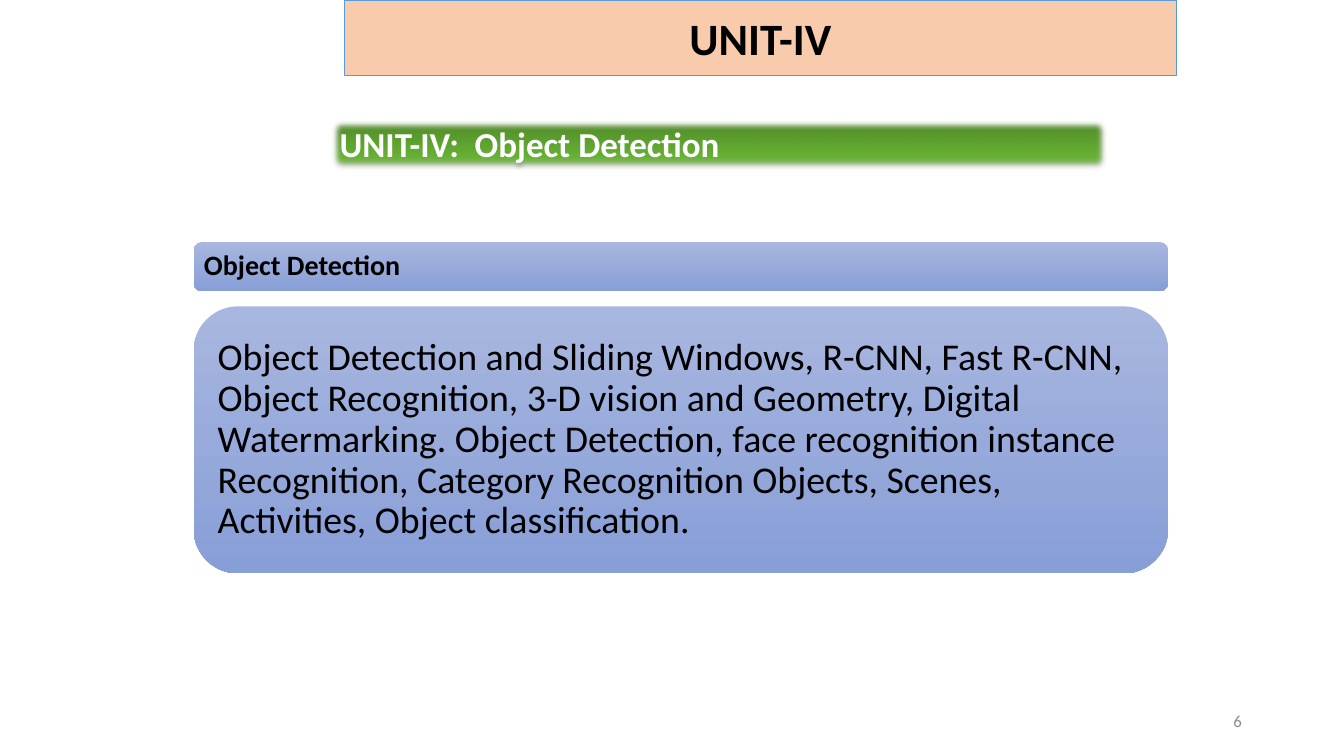
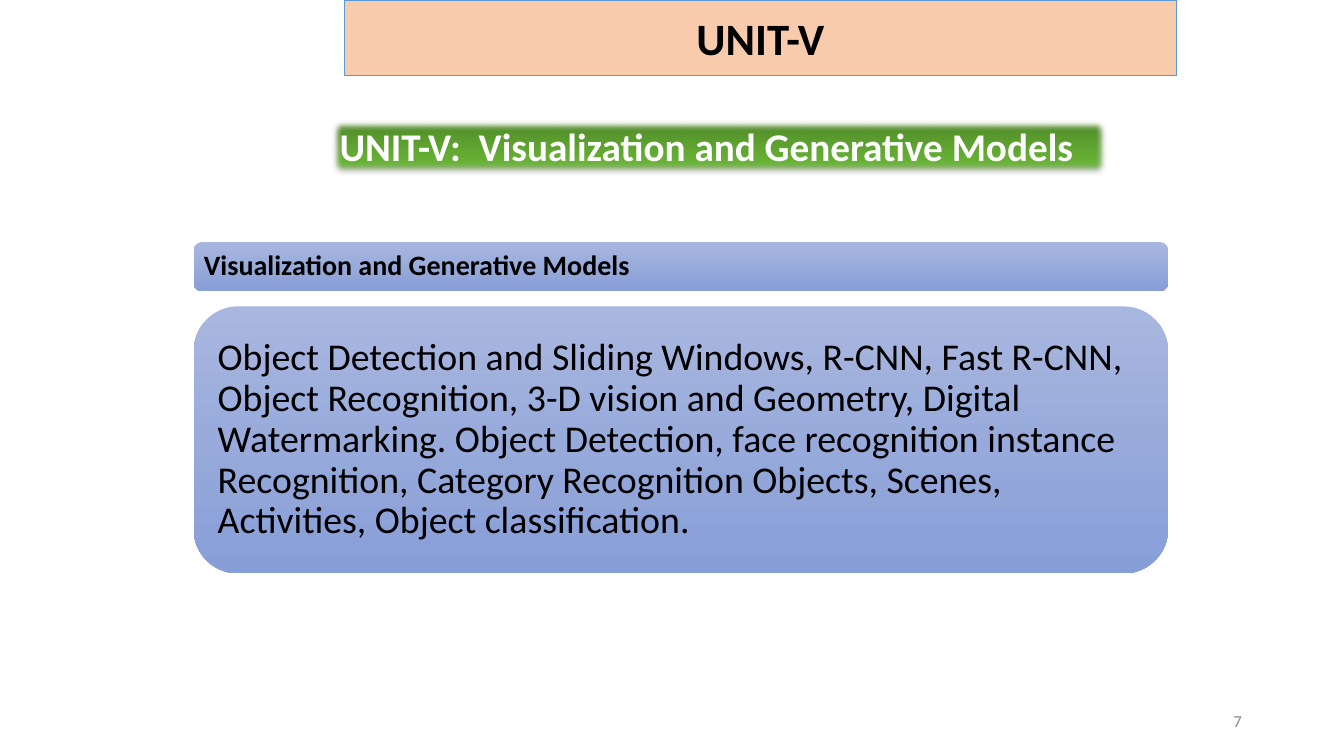
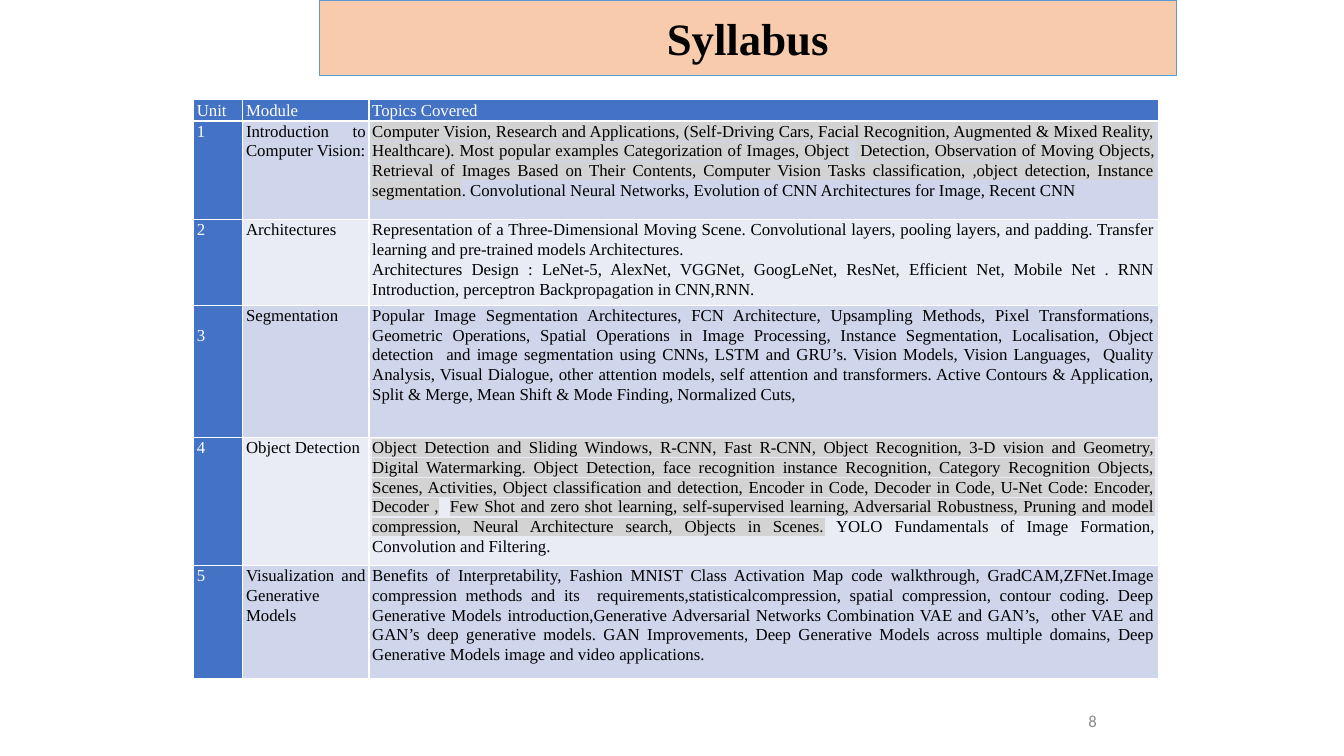
from lxml.etree import SubElement
from pptx import Presentation
from pptx.dml.color import RGBColor
from pptx.enum.shapes import MSO_SHAPE
from pptx.enum.text import MSO_ANCHOR, MSO_AUTO_SIZE, PP_ALIGN
from pptx.oxml import parse_xml
from pptx.oxml.ns import nsdecls, qn
from pptx.util import Cm, Pt

COLORS = {
    "title_fill": "F8CBAD", "title_line": "5B9BD5",
    "green_dark": "4D8527", "green": "6AB636",
    "panel_top": "A8B7DF", "panel_bottom": "889ED7",
    "header": "4472C4", "odd_row": "CFD5EA", "even_row": "E9EBF5",
    "highlight": "D3D3D3", "number": "8C8C8C",
    "black": "000000", "white": "FFFFFF",
}
SANS, SERIF = "Calibri", "Times New Roman"
CONTENT_LEFT = 4.88
TITLE_RIGHT = 29.64

UNIT_TOPICS = (
    "Object Detection and Sliding Windows, R-CNN, Fast R-CNN, Object Recognition, "
    "3-D vision and Geometry, Digital Watermarking. Object Detection, face recognition "
    "instance Recognition, Category Recognition Objects, Scenes, Activities, "
    "Object classification."
)
# (number, heading, subject, banner size, banner height)
UNITS = [
    (6, "UNIT-IV", "Object Detection", 25, 1.32),
    (7, "UNIT-V", "Visualization and Generative Models", 28, 1.45),
]

# In a topic, every second part between bars is highlighted.
SYLLABUS = [
    ("Unit", "Module", ["Topics Covered"]),
    ("1", "Introduction to Computer Vision:", [
        "|Computer Vision, Research and Applications, (Self-Driving Cars, Facial "
        "Recognition, Augmented & Mixed Reality, Healthcare). Most popular examples "
        "Categorization of Images, Object| | Detection, Observation of Moving Objects, "
        "Retrieval of Images Based on Their Contents, Computer Vision Tasks "
        "classification, ,object detection, Instance segmentation|. Convolutional Neural "
        "Networks, Evolution of CNN Architectures for Image, Recent CNN"]),
    ("2", "Architectures", [
        "Representation of a Three-Dimensional Moving Scene. Convolutional layers, "
        "pooling layers, and padding. Transfer learning and pre-trained models "
        "Architectures.",
        "Architectures Design : LeNet-5, AlexNet, VGGNet, GoogLeNet, ResNet, Efficient "
        "Net, Mobile Net . RNN Introduction, perceptron Backpropagation in CNN,RNN."]),
    ("3", "Segmentation", [
        "Popular Image Segmentation Architectures, FCN Architecture, Upsampling Methods, "
        "Pixel Transformations, Geometric Operations, Spatial Operations in Image "
        "Processing, Instance Segmentation, Localisation, Object detection  and image "
        "segmentation using CNNs, LSTM and GRU’s. Vision Models, Vision Languages,  "
        "Quality Analysis, Visual Dialogue, other attention models, self attention and "
        "transformers. Active Contours & Application, Split & Merge, Mean Shift & Mode "
        "Finding, Normalized Cuts,"]),
    ("4", "Object Detection", [
        "|Object Detection and Sliding Windows, R-CNN, Fast R-CNN, Object Recognition, "
        "3-D vision and Geometry, Digital Watermarking. Object Detection, face "
        "recognition instance Recognition, Category Recognition Objects, Scenes, "
        "Activities, Object classification and detection, Encoder in Code, Decoder in "
        "Code, U-Net Code: Encoder, Decoder ,|  |Few Shot and zero shot learning, "
        "self-supervised learning, Adversarial Robustness, Pruning and model "
        "compression, Neural Architecture search, Objects in Scenes.| YOLO Fundamentals "
        "of Image Formation, Convolution and Filtering."]),
    ("5", "Visualization and Generative Models", [
        "Benefits of Interpretability, Fashion MNIST Class Activation Map code "
        "walkthrough, GradCAM,ZFNet.Image compression methods and its  "
        "requirements,statisticalcompression, spatial compression, contour coding. Deep "
        "Generative Models introduction,Generative Adversarial Networks Combination VAE "
        "and GAN’s,  other VAE and GAN’s deep generative models. GAN Improvements, Deep "
        "Generative Models across multiple domains, Deep Generative Models image and "
        "video applications."]),
]
COLUMN_WIDTHS = [1.24, 3.18, 19.89]
ROW_HEIGHTS = [0.51, 2.49, 2.01, 3.33, 3.02, 2.84]


def rgb(color):
    return RGBColor.from_string(COLORS[color])


class Deck:
    def __init__(self):
        self.presentation = Presentation()
        self.presentation.slide_width = Cm(33.87)
        self.presentation.slide_height = Cm(19.05)
        self.slide = None

    def new_slide(self, title, number, title_left=8.69, title_font=SANS, number_right=31.55):
        self.slide = self.presentation.slides.add_slide(self.presentation.slide_layouts[5])
        heading = self.slide.shapes.title
        heading.left, heading.top = Cm(title_left), Cm(0)
        heading.width, heading.height = Cm(TITLE_RIGHT - title_left), Cm(1.9)
        heading.fill.solid()
        heading.fill.fore_color.rgb = rgb("title_fill")
        heading.line.color.rgb = rgb("title_line")
        heading.line.width = Pt(0.5)
        self.set_text(heading, title, 32, "black", title_font, True, PP_ALIGN.CENTER)

        page = self.slide.shapes.add_textbox(
            Cm(number_right - 3.32), Cm(17.65), Cm(3.32), Cm(1.02))
        self.set_text(page, str(number), 12, "number", align=PP_ALIGN.RIGHT)

    def style_run(self, run, size, color, font=SANS, bold=False):
        run.font.size = Pt(size)
        run.font.bold = bold
        run.font.color.rgb = rgb(color)
        run.font.name = font

    def set_text(self, shape, text, size, color, font=SANS, bold=False,
                 align=PP_ALIGN.LEFT, anchor=MSO_ANCHOR.MIDDLE):
        frame = shape.text_frame
        frame.text = text
        frame.word_wrap = True
        frame.vertical_anchor = anchor
        frame.paragraphs[0].alignment = align
        self.style_run(frame.paragraphs[0].runs[0], size, color, font, bold)

    def gradient_box(self, kind, left, top, width, height, colors, end=1.0):
        """Add an unlined shape shaded from top to bottom."""
        box = self.slide.shapes.add_shape(kind, Cm(left), Cm(top), Cm(width), Cm(height))
        box.shadow.inherit = False
        box.line.fill.background()
        box.fill.gradient()
        box.fill.gradient_angle = 270
        for stop, color, position in zip(box.fill.gradient_stops, colors, (0.0, end)):
            stop.color.rgb = rgb(color)
            stop.position = position
        return box

    def banner(self, text, size, height):
        box = self.gradient_box(MSO_SHAPE.RECTANGLE, 8.31, 2.97, 19.63, height,
                                ("green_dark", "green"), 0.8)
        effects = box.element.spPr.find(qn("a:effectLst"))
        effects.append(parse_xml(
            f'<a:outerShdw {nsdecls("a")} blurRad="39370" dist="22860" dir="5400000" '
            f'rotWithShape="0"><a:srgbClr val="{COLORS["black"]}">'
            '<a:alpha val="35000"/></a:srgbClr></a:outerShdw>'))
        SubElement(effects, qn("a:softEdge"), rad="63500")
        self.set_text(box, text, size, "white", bold=True, anchor=MSO_ANCHOR.TOP)
        box.text_frame.auto_size = MSO_AUTO_SIZE.SHAPE_TO_FIT_TEXT

    def panel(self, text, top, height, size, inset, bold=False):
        box = self.gradient_box(MSO_SHAPE.ROUNDED_RECTANGLE, CONTENT_LEFT, top, 24.56,
                                height, ("panel_top", "panel_bottom"))
        self.set_text(box, text, size, "black", bold=bold)
        frame = box.text_frame
        frame.margin_left = frame.margin_right = Cm(inset)
        frame.margin_top = frame.margin_bottom = Cm(inset)
        frame.paragraphs[0].line_spacing = 0.9

    def cell(self, cell, paragraphs, fill, color, align):
        cell.margin_left = cell.margin_right = Cm(0.08)
        cell.margin_top = cell.margin_bottom = Cm(0)
        cell.fill.solid()
        cell.fill.fore_color.rgb = rgb(fill)
        properties = cell._tc.get_or_add_tcPr()
        for index, side in enumerate(("lnL", "lnR", "lnT", "lnB")):
            properties.insert(index, parse_xml(
                f'<a:{side} {nsdecls("a")} w="12700"><a:solidFill>'
                f'<a:srgbClr val="{COLORS["white"]}"/></a:solidFill></a:{side}>'))
        frame = cell.text_frame
        for index, text in enumerate(paragraphs):
            paragraph = frame.add_paragraph() if index else frame.paragraphs[0]
            paragraph.alignment = align
            paragraph.line_spacing = 1.06
            for part, words in enumerate(text.split("|")):
                if words:
                    run = paragraph.add_run()
                    run.text = words
                    self.style_run(run, 12, color, SERIF)
                    if part % 2:
                        self.highlight(run)

    def highlight(self, run):
        mark = parse_xml(f'<a:highlight {nsdecls("a")}>'
                         f'<a:srgbClr val="{COLORS["highlight"]}"/></a:highlight>')
        run._r.get_or_add_rPr().find(qn("a:solidFill")).addnext(mark)

    def syllabus(self):
        table = self.slide.shapes.add_table(
            len(SYLLABUS), len(COLUMN_WIDTHS), Cm(CONTENT_LEFT), Cm(2.51),
            Cm(sum(COLUMN_WIDTHS)), Cm(sum(ROW_HEIGHTS))).table
        for column, width in zip(table.columns, COLUMN_WIDTHS):
            column.width = Cm(width)
        for row, (height, (unit, module, topics)) in enumerate(zip(ROW_HEIGHTS, SYLLABUS)):
            table.rows[row].height = Cm(height)
            for column, paragraphs in enumerate(([unit], [module], topics)):
                cell = table.cell(row, column)
                if row == 0 or column == 0:
                    self.cell(cell, paragraphs, "header", "white", PP_ALIGN.LEFT)
                else:
                    fill = "odd_row" if row % 2 else "even_row"
                    self.cell(cell, paragraphs, fill, "black", PP_ALIGN.JUSTIFY)
                if row == 0:
                    cell.vertical_anchor = MSO_ANCHOR.MIDDLE
        table.cell(3, 0).margin_top = Cm(0.5)  # unit 3 sits one line lower


def main():
    deck = Deck()
    for number, heading, subject, size, height in UNITS:
        deck.new_slide(heading, number)
        deck.banner(f"{heading}:  {subject}", size, height)
        deck.panel(subject, 6.1, 1.24, 20, 0.2, bold=True)
        deck.panel(UNIT_TOPICS, 7.72, 6.73, 27, 0.28)
    deck.new_slide("Syllabus", 8, title_left=8.05, title_font=SERIF, number_right=27.89)
    deck.syllabus()
    deck.presentation.save("out.pptx")


if __name__ == "__main__":
    main()
